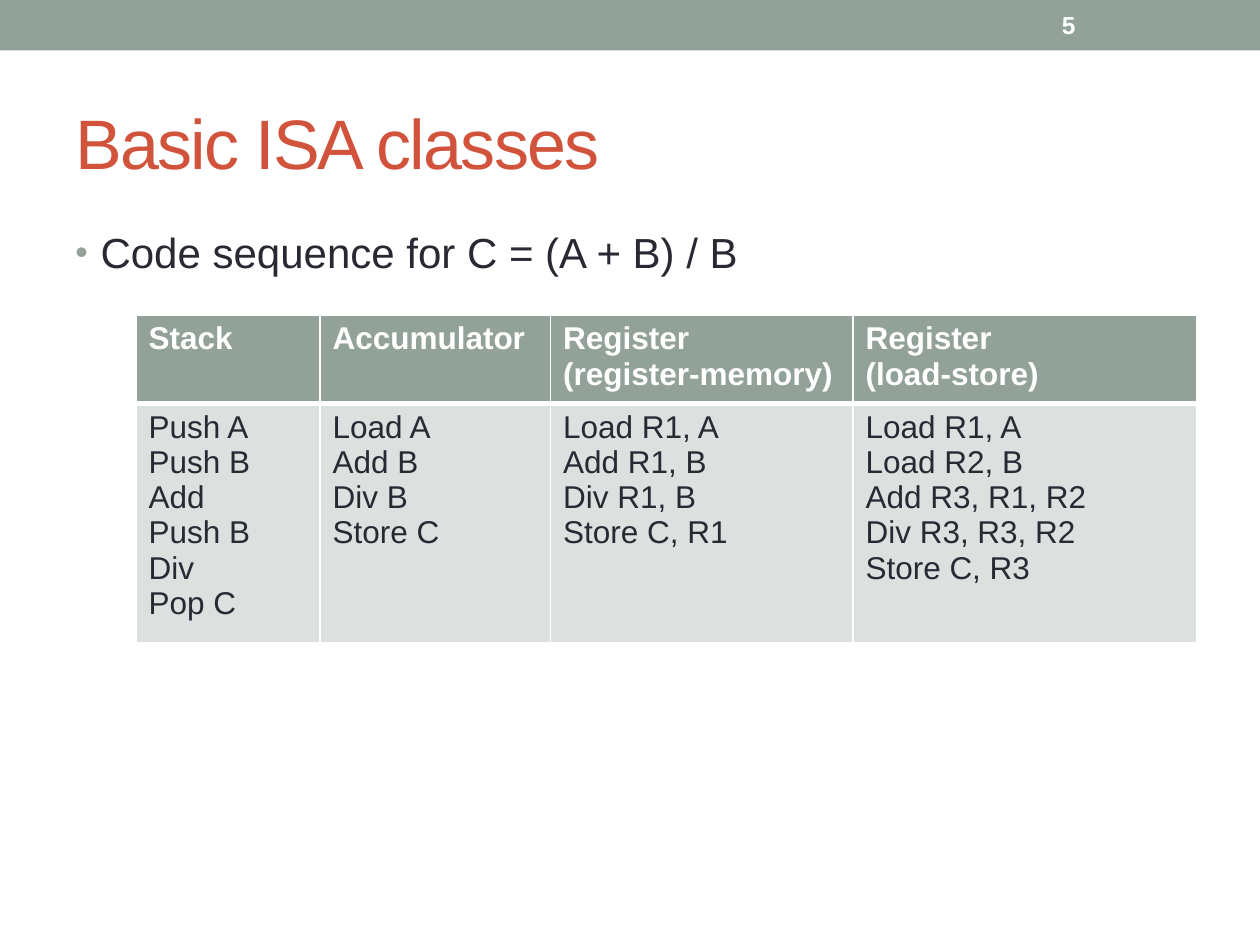
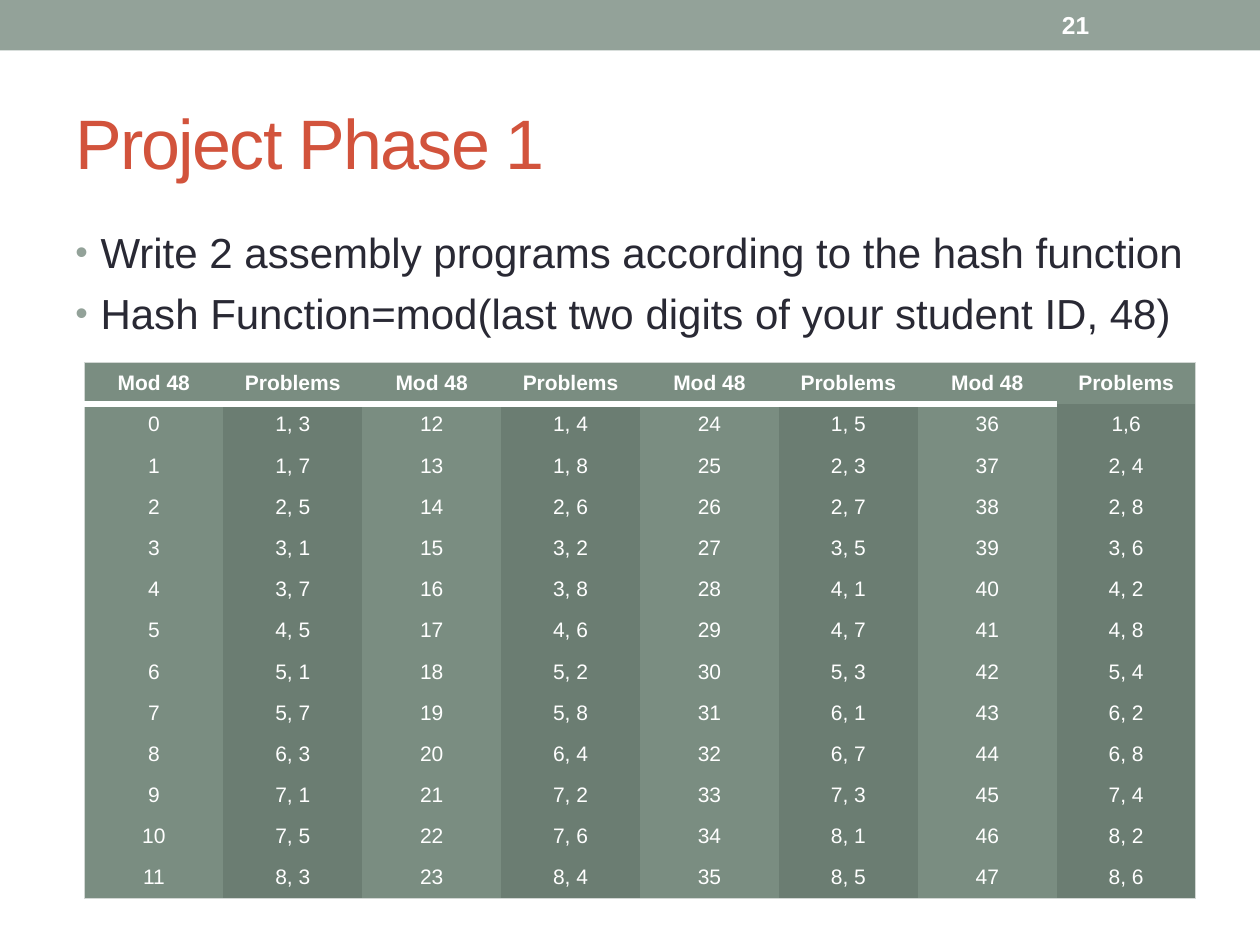
from dataclasses import dataclass

from lxml import etree
from pptx import Presentation
from pptx.dml.color import RGBColor
from pptx.enum.shapes import MSO_SHAPE
from pptx.enum.text import MSO_ANCHOR, PP_ALIGN
from pptx.oxml.ns import qn
from pptx.util import Inches, Pt

RECT = MSO_SHAPE.RECTANGLE
TOP, MIDDLE = MSO_ANCHOR.TOP, MSO_ANCHOR.MIDDLE
LEFT, CENTER = PP_ALIGN.LEFT, PP_ALIGN.CENTER


@dataclass(frozen=True)
class Theme:
    """Colours, font and type sizes shared by the slides."""
    font: str = "Arial"
    sage: str = "93A299"
    rust: str = "D2533C"
    ink: str = "292934"
    white: str = "FFFFFF"
    pale: str = "DCE0DE"
    mid: str = "7A8D81"
    deep: str = "6B7D72"
    edge: str = "D2D7D4"
    title: int = 40
    body: int = 24
    code: int = 18
    number: int = 14
    grid: int = 12


T = Theme()
ISA_CLASSES = {
    "Stack": ["Push A", "Push B", "Add", "Push B", "Div", "Pop C"],
    "Accumulator": ["Load A", "Add B", "Div B", "Store C"],
    "Register\n(register-memory)": ["Load R1, A", "Add R1, B", "Div R1, B", "Store C, R1"],
    "Register\n(load-store)": ["Load R1, A", "Load R2, B", "Add R3, R1, R2",
                               "Div R3, R3, R2", "Store C, R3"],
}


def write(tf, text, size, color, bold=False, align=LEFT):
    """Fill a text frame with one paragraph per line of text."""
    for i, line in enumerate(text.split("\n")):
        p = tf.add_paragraph() if i else tf.paragraphs[0]
        p.alignment = align
        r = p.add_run()
        r.text = line
        for name, value in {"name": T.font, "size": Pt(size), "bold": bold}.items():
            setattr(r.font, name, value)
        r.font.color.rgb = RGBColor.from_string(color)


def add_text(s, box, text, size, color, bold=False, anchor=MIDDLE):
    """Add a wrapping text box and return its text frame."""
    tf = s.shapes.add_textbox(*map(Inches, box)).text_frame
    tf.word_wrap = True
    tf.vertical_anchor = anchor
    write(tf, text, size, color, bold)
    return tf


def add_title(s, text):
    """Add the slide title with tightened letter spacing."""
    tf = add_text(s, (0.5, 0.58, 9, 1.08), text, T.title, T.rust)
    tf.paragraphs[0].runs[0].font._element.set("spc", "-100")


def add_bullets(s, text):
    """Add the bulleted body text."""
    tf = add_text(s, (0.5, 1.75, 9, 5.33), text, T.body, T.ink, anchor=TOP)
    for p in tf.paragraphs:
        p.space_before = Pt(6)
        pPr = p._p.get_or_add_pPr()
        pPr.set("marL", str(Inches(0.2)))
        pPr.set("indent", str(Inches(-0.2)))
        color = etree.SubElement(pPr, qn("a:buClr"))
        etree.SubElement(color, qn("a:srgbClr"), val=T.sage)
        etree.SubElement(pPr, qn("a:buSzPct"), val="85000")
        etree.SubElement(pPr, qn("a:buFont"), typeface=T.font)
        etree.SubElement(pPr, qn("a:buChar"), char="•")


def add_base(prs, number, title, bullets):
    """Add a slide with its band, page number, title and bullets."""
    s = prs.slides.add_slide(prs.slide_layouts[6])
    band = s.shapes.add_shape(RECT, 0, 0, prs.slide_width, Inches(0.4))
    band.shadow.inherit = False
    band.fill.solid()
    band.fill.fore_color.rgb = RGBColor.from_string(T.sage)
    band.line.fill.background()
    add_title(s, title)
    add_text(s, (8.33, 0.02, 1.17, 0.36), str(number), T.number, T.white, True)
    add_bullets(s, bullets)
    return s


def add_grid(s, left, top, widths, heights):
    """Add an unbanded table with the given column widths and row heights."""
    size = map(Inches, (left, top, sum(widths), sum(heights)))
    table = s.shapes.add_table(len(heights), len(widths), *size).table
    table.first_row = table.horz_banding = False
    for column, width in zip(table.columns, widths):
        column.width = Inches(width)
    for row, height in zip(table.rows, heights):
        row.height = Inches(height)
    return table


def style_cell(cell, fill, borders):
    """Set the four borders, given as (colour, points) or None, and the fill."""
    tcPr = cell._tc.get_or_add_tcPr()
    for side in "LRTB":
        line = etree.SubElement(tcPr, qn(f"a:ln{side}"))
        if borders.get(side):
            color, width = borders[side]
            line.set("w", str(Pt(width)))
            solid = etree.SubElement(line, qn("a:solidFill"))
            etree.SubElement(solid, qn("a:srgbClr"), val=color)
        else:
            line.set("w", "0")
            etree.SubElement(line, qn("a:noFill"))
    cell.fill.solid()
    cell.fill.fore_color.rgb = RGBColor.from_string(fill)


def add_isa_table(s):
    """Add the code sequence of each ISA class."""
    table = add_grid(s, 1.08, 2.5, [1.46, 1.83, 2.4, 2.73], [0.65, 1.78])
    thin, thick = (T.white, 1), (T.white, 3)
    for col, (name, code) in enumerate(ISA_CLASSES.items()):
        head, body = table.cell(0, col), table.cell(1, col)
        write(head.text_frame, name, T.code, T.white, True)
        write(body.text_frame, "\n".join(code), T.code, T.ink)
        style_cell(head, T.sage, {"L": thin, "R": thin, "T": thin, "B": thick})
        style_cell(body, T.pale, {"L": thin, "R": thin, "T": thick, "B": thin})


def problem_rows():
    """Return the rows: ordered problem pairs drawn from different twos."""
    pairs = [f"{a}, {b}" for a in range(1, 9) for b in range(1, 9)
             if (a - 1) // 2 != (b - 1) // 2]
    pairs[3] = "1,6"
    rows = [["Mod 48", "Problems"] * 4]
    for i in range(12):
        rows.append([text for k in range(4) for text in (str(i + 12 * k), pairs[4 * i + k])])
    return rows


def add_problem_table(s):
    """Add the lookup table from hash value to problem pair."""
    rows = problem_rows()
    n_rows, n_cols = len(rows), len(rows[0])
    table = add_grid(s, 0.67, 2.88, [8.82 / n_cols] * n_cols, [4.25 / n_rows] * n_rows)
    edge = (T.edge, 0.75)
    margins = {"margin_left": 0.07, "margin_right": 0.07, "margin_top": 0, "margin_bottom": 0}
    for i, row in enumerate(rows):
        for j, text in enumerate(row):
            cell = table.cell(i, j)
            for name, value in margins.items():
                setattr(cell, name, Inches(value))
            cell.vertical_anchor = MIDDLE
            write(cell.text_frame, text, T.grid, T.white, i == 0, CENTER)
            rule = (T.white, 3.5) if j < n_cols - 1 else None
            borders = {
                "L": edge if j == 0 else None,
                "R": edge if j == n_cols - 1 else None,
                "T": {0: edge, 1: rule}.get(i),
                "B": {0: rule, n_rows - 1: edge}.get(i),
            }
            style_cell(cell, T.deep if i and j % 2 else T.mid, borders)


def main():
    """Build and save the slides."""
    prs = Presentation()
    prs.slide_width, prs.slide_height = Inches(10), Inches(7.5)
    s = add_base(prs, 5, "Basic ISA classes", "Code sequence for C = (A + B) / B")
    add_isa_table(s)
    s = add_base(prs, 21, "Project Phase 1",
                 "Write 2 assembly programs according to the hash function\n"
                 "Hash Function=mod(last two digits of your student ID, 48)")
    add_problem_table(s)
    prs.save("out.pptx")


if __name__ == "__main__":
    main()
